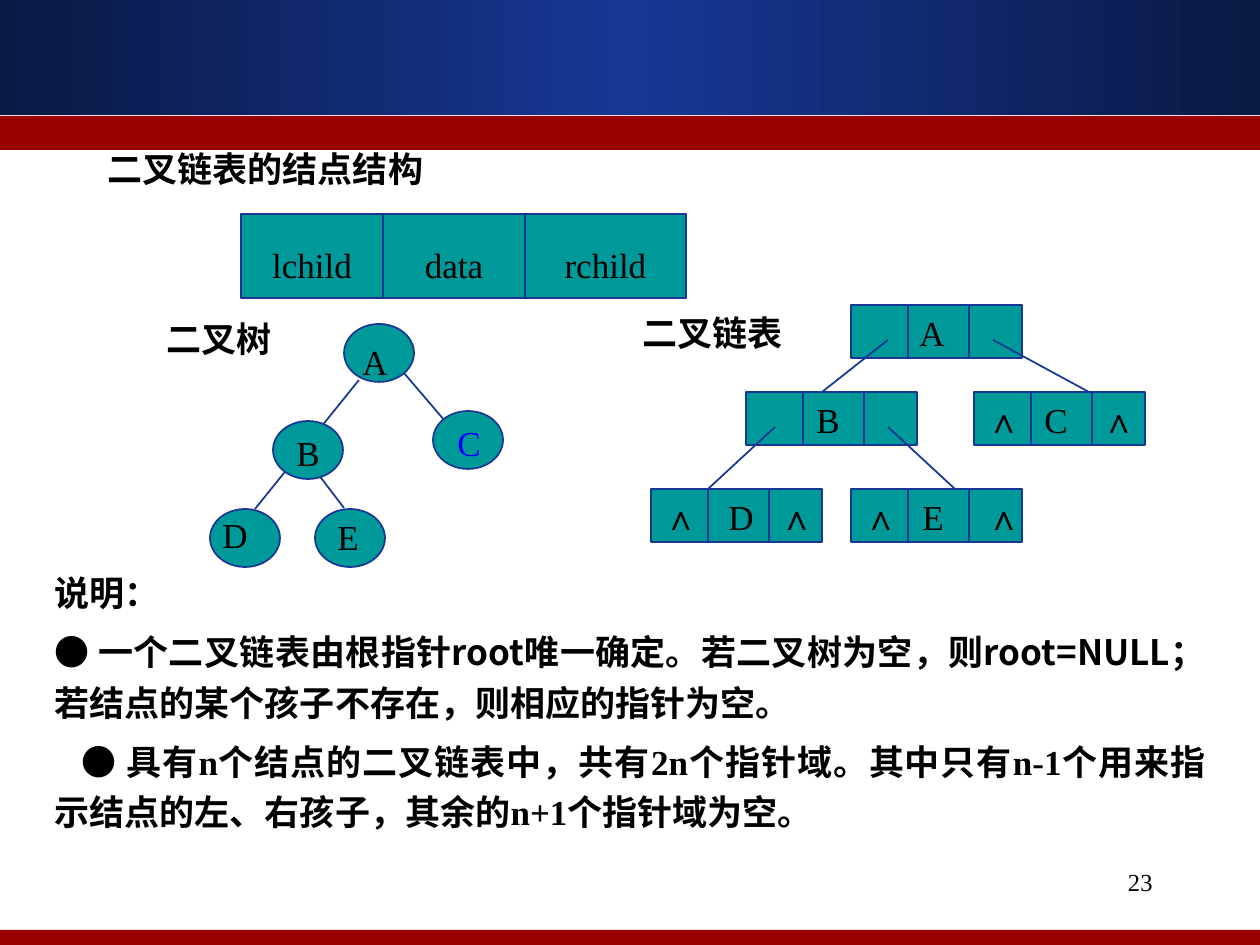
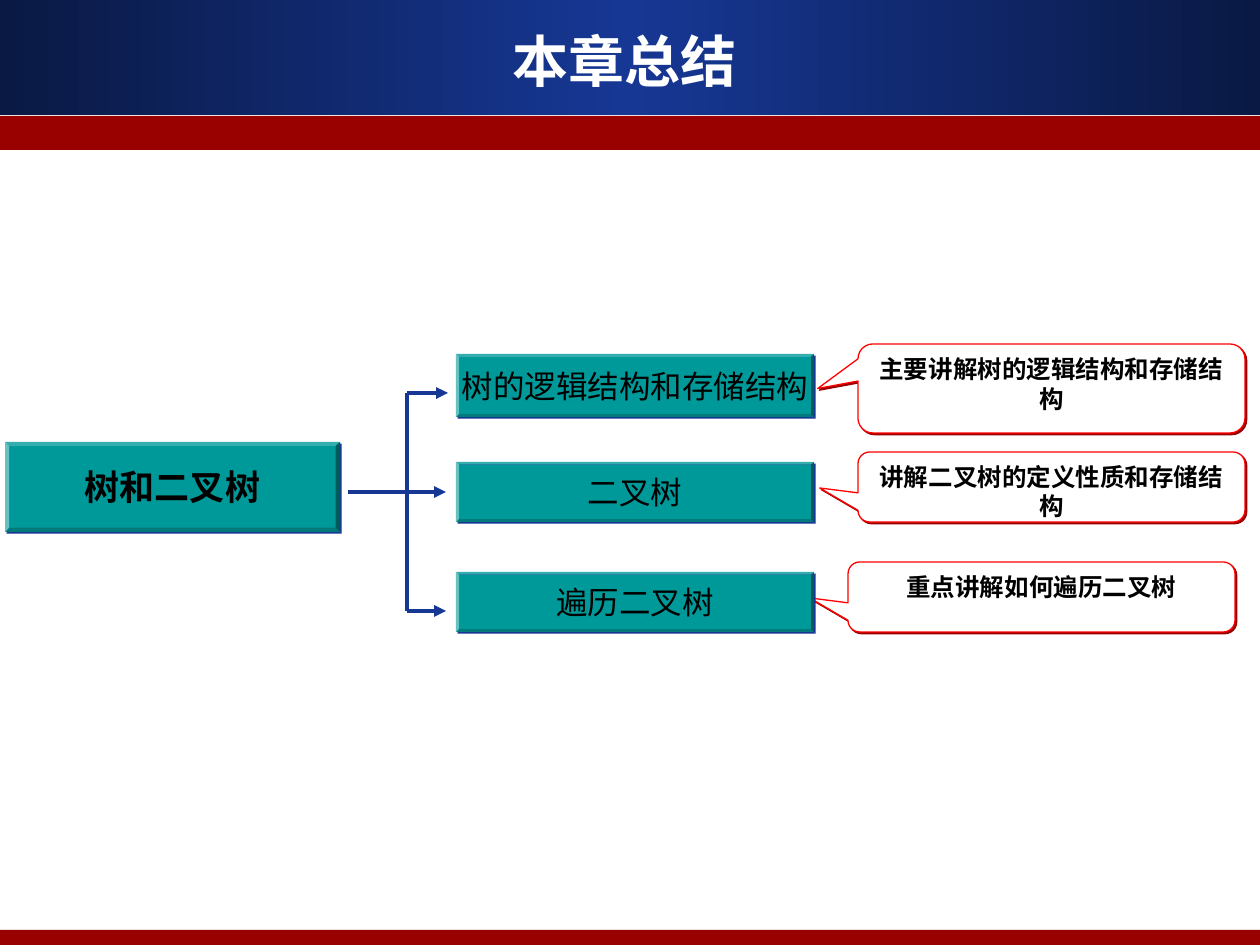
from copy import deepcopy

from lxml import etree
from pptx import Presentation
from pptx import util as u
from pptx.dml.color import RGBColor
from pptx.enum import shapes, text
from pptx.oxml.ns import qn

EMU_PER_PX = 914400 / 126
COLORS = {"navy": "0A1944", "blue": "163794", "crimson": "990000", "teal": "009999",
          "red": "FF0000", "link": "0000FF", "black": "000000", "white": "FFFFFF"}
SERIF, NARROW, SANS, CJK = "Times New Roman", "Arial Narrow", "DejaVu Sans", "Noto Sans CJK SC"
SHAPE, ALIGN, ANCHOR = shapes.MSO_SHAPE, text.PP_ALIGN, text.MSO_ANCHOR

# Bands: box, colours from left to right
BANDS = [((0, 0, 1260, 115), ("navy", "blue", "navy")),
         ((0, 116, 1260, 34), ("crimson",)),
         ((0, 930, 1260, 15), ("crimson",))]

# Node structure slide
HEADING = "二叉链表的结点结构"
PAGE_NUMBER = "23"
FIELDS = ["lchild", "data", "rchild"]
FIELD_EDGES = [0, 142, 284, 445]
STRUCTURE_BOX = (241, 214, 445, 84)
CAPTIONS = [("二叉树", 154, 311), ("二叉链表", 630, 305)]
TREE_EDGES = [((404, 373), (445, 421)), ((359, 380), (255, 509)), ((315, 470), (344, 508))]
# Tree nodes: letter, left, top, label offset, colour
TREE_NODE_SIZE = (70, 58)
TREE_NODES = [("A", 344, 324, (6, 10), "black"), ("B", 273, 421, (11, 4), "black"),
              ("C", 433, 411, (12, 4), "link"), ("D", 210, 509, (0, -2), "black"),
              ("E", 315, 509, (10, 0), "black")]
# List nodes: letter, left, top, letter offset, offsets of the null marks
LIST_NODE_SIZE = (171, 53)
LIST_DIVIDERS = (57, 118)
LIST_NODES = [("A", 851, 305, 56, ()), ("B", 746, 392, 58, ()),
              ("C", 974, 392, 58, (0, 115)), ("D", 651, 489, 65, (0, 116)),
              ("E", 851, 489, 59, (0, 123))]
POINTERS = [((888, 340), (822, 392)), ((775, 427), (708, 489)),
            ((888, 427), (955, 489)), ((993, 340), (1089, 392))]
# Notes: text, latin font, first-line indent
NOTES = [("说明：", CJK, 0),
         ("● 一个二叉链表由根指针root唯一确定。若二叉树为空，则root=NULL；"
          "若结点的某个孩子不存在，则相应的指针为空。", CJK, 0),
         ("● 具有n个结点的二叉链表中，共有2n个指针域。其中只有n-1个用来"
          "指示结点的左、右孩子，其余的n+1个指针域为空。", SERIF, 27)]

# Summary slide
SUMMARY_TITLE = "本章总结"
TOPIC = "树和二叉树"
TOPIC_BOX = (5, 442, 335, 90)
TRUNK_X, TOPIC_ARROW_START = 407, 348
# Branches: label, font, top, height, arrow y, arrow end
BRANCHES = [("树的逻辑结构和存储结构", NARROW, 354, 63, 393, 448),
            ("二叉树", CJK, 462, 60, 492, 446),
            ("遍历二叉树", CJK, 572, 60, 611, 446)]
# Callouts: text, box, pointer tip
CALLOUTS = [("主要讲解树的逻辑结构和存储结构", (858, 344, 387, 89), (-0.604, 0)),
            ("讲解二叉树的定义性质和存储结构", (858, 452, 387, 70), (-0.599, 0.014)),
            ("重点讲解如何遍历二叉树", (848, 562, 387, 70), (-0.599, 0.014))]


def px(length):
    return u.Emu(round(length * EMU_PER_PX))


def color(name):
    return RGBColor.from_string(COLORS[name])


def place(shape, box):
    shape.left, shape.top, shape.width, shape.height = map(px, box)


def write(para, words, size, font=SERIF, ink="black", bold=False, align=ALIGN.LEFT):
    para.text = words
    para.alignment = align
    para.font.size = u.Pt(size)
    para.font.bold = bold
    para.font.name = font
    para.font.color.rgb = color(ink)
    latin = para._p.pPr.find(qn("a:defRPr")).find(qn("a:latin"))
    east_asian = deepcopy(latin)
    east_asian.tag = qn("a:ea")
    east_asian.set("typeface", CJK)
    latin.addnext(east_asian)


def set_frame(frame, wrap=True, anchor=ANCHOR.TOP):
    frame.word_wrap = wrap
    frame.auto_size = text.MSO_AUTO_SIZE.NONE
    frame.vertical_anchor = anchor
    frame.margin_left = frame.margin_right = u.Inches(0.1)
    frame.margin_top = frame.margin_bottom = u.Inches(0.05)


def add_label(page, words, box, size=20, **style):
    label = page.shapes.add_textbox(*map(px, box))
    set_frame(label.text_frame)
    write(label.text_frame.paragraphs[0], words, size, **style)


def add_block(page, kind, box, fill, line=None, width=1.0):
    block = page.shapes.add_shape(kind, *map(px, box))
    block.shadow.inherit = False
    block.fill.solid()
    block.fill.fore_color.rgb = color(fill)
    if line:
        block.line.color.rgb = color(line)
        block.line.width = u.Pt(width)
    else:
        block.line.fill.background()
    return block


def add_line(page, start, end, width=1.0, arrow=False):
    line = page.shapes.add_connector(shapes.MSO_CONNECTOR.STRAIGHT, *map(px, start + end))
    line.line.color.rgb = color("blue")
    line.line.width = u.Pt(width)
    properties = line.element.spPr
    if arrow:
        etree.SubElement(properties.find(qn("a:ln")), qn("a:tailEnd"), type="triangle")
    etree.SubElement(properties, qn("a:effectLst"))


def add_hard_shadow(shape, shade):
    effects = shape.element.spPr.find(qn("a:effectLst"))
    shadow = etree.SubElement(effects, qn("a:outerShdw"), dist="17780", dir="2700000",
                              algn="ctr", rotWithShape="0")
    etree.SubElement(shadow, qn("a:srgbClr"), val=COLORS[shade])


def add_record(page, box, dividers):
    """Draw a rectangle split into fields at the given offsets."""
    left, top, _, height = box
    add_block(page, SHAPE.RECTANGLE, box, "teal", "blue")
    for offset in dividers:
        add_line(page, (left + offset, top), (left + offset, top + height))


def add_bevel(page, words, box, **style):
    bevel = add_block(page, SHAPE.BEVEL, box, "teal")
    bevel.adjustments[0] = 0.047
    add_hard_shadow(bevel, "blue")
    set_frame(bevel.text_frame, wrap=False, anchor=ANCHOR.MIDDLE)
    write(bevel.text_frame.paragraphs[0], words, align=ALIGN.CENTER, **style)


def move_bands_to_master(deck, page):
    tree = deck.slide_master.shapes.element
    for index, (box, shades) in enumerate(BANDS):
        band = add_block(page, SHAPE.RECTANGLE, box, shades[0])
        if len(shades) > 1:
            band.fill.gradient()
            band.fill.gradient_angle = 0
            stop_list = band.element.spPr.find(".//" + qn("a:gsLst"))
            stop_list.append(deepcopy(stop_list[0]))
            for step, (stop, shade) in enumerate(zip(band.fill.gradient_stops, shades)):
                stop.color.rgb = color(shade)
                stop.position = step / (len(shades) - 1)
        band.element.nvSpPr.cNvPr.set("id", str(20 + index))
        tree.insert(2 + index, band.element)


def set_title(page, words, box, size, anchor, **style):
    title = page.shapes.title
    place(title, box)
    set_frame(title.text_frame, anchor=anchor)
    write(title.text_frame.paragraphs[0], words, size, bold=True, **style)


def add_notes_text(page):
    body = page.placeholders[1]
    place(body, (42, 557, 1176, 282))
    set_frame(body.text_frame)
    for index, (words, font, indent) in enumerate(NOTES):
        para = body.text_frame.add_paragraph() if index else body.text_frame.paragraphs[0]
        properties = para._p.get_or_add_pPr()
        properties.set("marL", "0")
        properties.set("indent", str(px(indent)))
        etree.SubElement(properties, qn("a:buNone"))
        para.line_spacing = 1.2
        para.space_before = u.Pt(5 if index else 0)
        write(para, words, 20, font=font, bold=True, align=ALIGN.JUSTIFY)


def build_structure_slide(page):
    set_title(page, HEADING, (95, 141, 420, 63), 20, ANCHOR.TOP, font=CJK)
    add_notes_text(page)
    add_label(page, PAGE_NUMBER, (903, 861, 262, 63), 14, align=ALIGN.RIGHT)

    add_record(page, STRUCTURE_BOX, FIELD_EDGES[1:-1])
    for field, start, end in zip(FIELDS, FIELD_EDGES, FIELD_EDGES[1:]):
        box = (STRUCTURE_BOX[0] + start, 237, end - start, 55)
        add_label(page, field, box, align=ALIGN.CENTER)
    for caption, left, top in CAPTIONS:
        add_label(page, caption, (left, top, 199, 55), bold=True)

    for start, end in TREE_EDGES:
        add_line(page, start, end)
    for letter, left, top, (dx, dy), ink in TREE_NODES:
        add_block(page, SHAPE.OVAL, (left, top, *TREE_NODE_SIZE), "teal", "blue")
        add_label(page, letter, (left + dx, top + dy, 70, 55), ink=ink)

    for letter, left, top, letter_dx, null_offsets in LIST_NODES:
        add_record(page, (left, top, *LIST_NODE_SIZE), LIST_DIVIDERS)
        add_label(page, letter, (left + letter_dx, top, 67, 55))
        for offset in null_offsets:
            add_label(page, "∧", (left + offset, top, 67, 55), bold=True)
    for start, end in POINTERS:
        add_line(page, start, end)


def build_summary_slide(page):
    set_title(page, SUMMARY_TITLE, (42, 21, 1166, 78), 32, ANCHOR.MIDDLE,
              font=SANS, ink="white", align=ALIGN.CENTER)
    for words, box, tip in CALLOUTS:
        callout = add_block(page, SHAPE.ROUNDED_RECTANGULAR_CALLOUT, box, "white", "red", 0.75)
        for index, value in enumerate((*tip, 0.167)):
            callout.adjustments[index] = value
        add_hard_shadow(callout, "crimson")
        set_frame(callout.text_frame)
        write(callout.text_frame.paragraphs[0], words, 14, font=NARROW, bold=True,
              align=ALIGN.CENTER)

    add_bevel(page, TOPIC, TOPIC_BOX, size=20, font=CJK, bold=True)
    arrow_levels = [branch[4] for branch in BRANCHES]
    add_line(page, (TRUNK_X, arrow_levels[0]), (TRUNK_X, arrow_levels[-1]), 2.25)
    for index, (words, font, top, height, level, end) in enumerate(BRANCHES):
        add_bevel(page, words, (456, top, 358, height), size=18, font=font)
        start = TOPIC_ARROW_START if index == 1 else TRUNK_X
        add_line(page, (start, level), (end, level), 2.25, arrow=True)


def main():
    deck = Presentation()
    deck.slide_width, deck.slide_height = px(1260), px(945)
    structure = deck.slides.add_slide(deck.slide_layouts[1])
    summary = deck.slides.add_slide(deck.slide_layouts[5])
    move_bands_to_master(deck, structure)
    build_structure_slide(structure)
    build_summary_slide(summary)
    deck.save("out.pptx")


if __name__ == "__main__":
    main()
